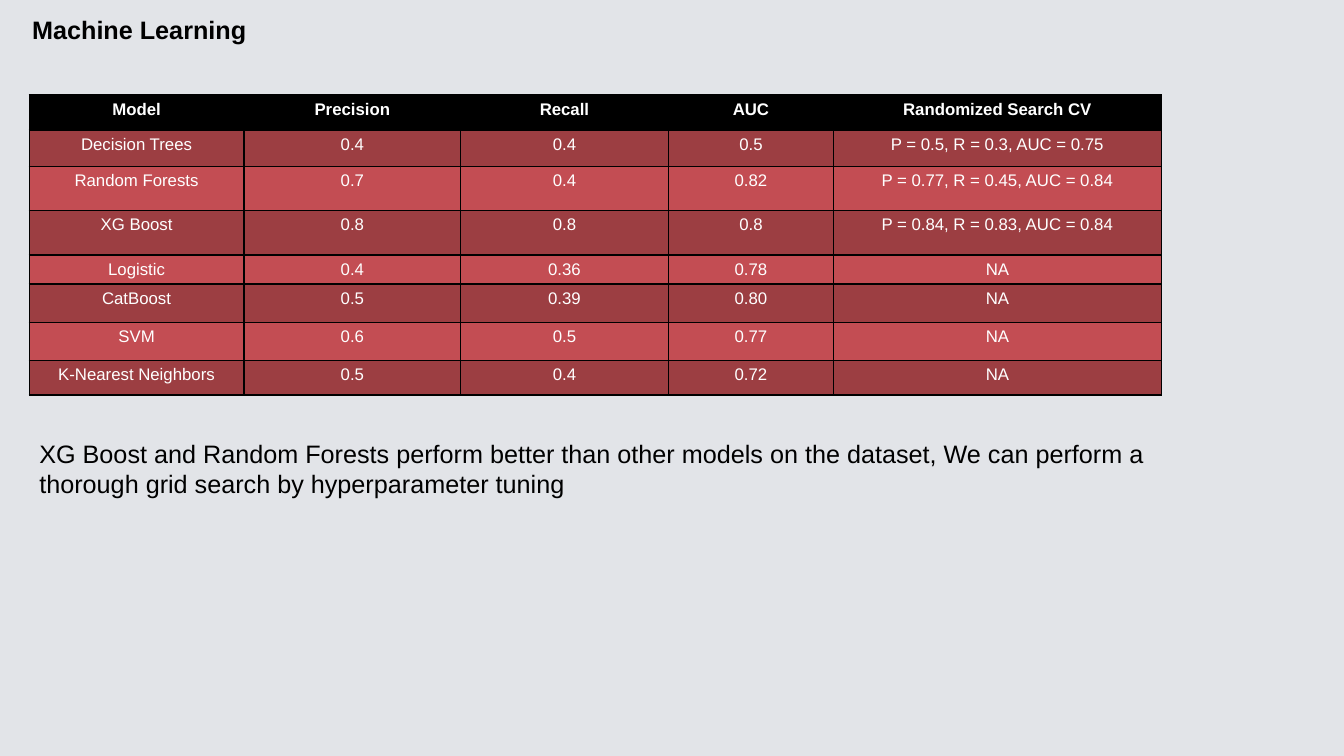
from dataclasses import dataclass

import pptx
import pptx.dml.color
import pptx.enum.text
import pptx.oxml
import pptx.oxml.ns
import pptx.util
from pptx.util import Pt


@dataclass(frozen=True)
class Theme:
    font: str = "Arial"
    background: str = "E2E4E8"
    text: str = "000000"
    header_fill: str = "000000"
    table_text: str = "FFFFFF"
    row_fills: tuple = ("9C3E42", "C34D53")
    border: str = "000000"
    border_width: float = 1
    heading_size: float = 18
    table_size: float = 12


THEME = Theme()

COLUMN_WIDTHS = (153.4, 154.8, 148.3, 118.1, 234)
ROW_HEIGHTS = (25.2, 25.9, 31.7, 31.7, 18.7, 27.4, 27.4, 24.5)
MODEL_SCORES = (
    ("Model", "Precision", "Recall", "AUC", "Randomized Search CV"),
    ("Decision Trees", "0.4", "0.4", "0.5", "P = 0.5, R = 0.3, AUC = 0.75"),
    ("Random Forests", "0.7", "0.4", "0.82", "P = 0.77, R = 0.45, AUC = 0.84"),
    ("XG Boost", "0.8", "0.8", "0.8", "P = 0.84, R = 0.83, AUC = 0.84"),
    ("Logistic", "0.4", "0.36", "0.78", "NA"),
    ("CatBoost", "0.5", "0.39", "0.80", "NA"),
    ("SVM", "0.6", "0.5", "0.77", "NA"),
    ("K-Nearest Neighbors", "0.5", "0.4", "0.72", "NA"),
)
CONCLUSION = (
    "XG Boost and Random Forests perform better than other models on the dataset, "
    "We can perform a thorough grid search by hyperparameter tuning"
)


def set_fill(fill, color):
    fill.solid()
    fill.fore_color.rgb = pptx.dml.color.RGBColor.from_string(color)


def format_paragraph(paragraph, size, color, alignment, bold=False):
    paragraph.alignment = alignment
    for run in paragraph.runs:
        run.font.name = THEME.font
        run.font.size = Pt(size)
        run.font.bold = bold
        run.font.color.rgb = pptx.dml.color.RGBColor.from_string(color)


def fill_placeholder(shape, text, left, top, width, height, bold=False):
    shape.left, shape.top = Pt(left), Pt(top)
    shape.width, shape.height = Pt(width), Pt(height)
    text_frame = shape.text_frame
    text_frame.text = text
    text_frame.word_wrap = True
    text_frame.auto_size = pptx.enum.text.MSO_AUTO_SIZE.NONE
    text_frame.vertical_anchor = pptx.enum.text.MSO_ANCHOR.TOP
    paragraph = text_frame.paragraphs[0]
    properties = paragraph._p.get_or_add_pPr()
    properties.set("marL", "0")
    properties.set("indent", "0")
    properties.append(pptx.oxml.parse_xml(
        f'<a:buNone {pptx.oxml.ns.nsdecls("a")}/>'
    ))
    paragraph.space_before = Pt(0)
    format_paragraph(
        paragraph, THEME.heading_size, THEME.text, pptx.enum.text.PP_ALIGN.LEFT, bold
    )


def add_borders(cell):
    properties = cell._tc.get_or_add_tcPr()
    for position, side in enumerate(("lnL", "lnR", "lnT", "lnB")):
        properties.insert(position, pptx.oxml.parse_xml(
            f'<a:{side} {pptx.oxml.ns.nsdecls("a")} w="{Pt(THEME.border_width)}">'
            f'<a:solidFill><a:srgbClr val="{THEME.border}"/></a:solidFill></a:{side}>'
        ))


def add_score_table(slide, left, top):
    table = slide.shapes.add_table(
        len(ROW_HEIGHTS), len(COLUMN_WIDTHS), Pt(left), Pt(top),
        Pt(sum(COLUMN_WIDTHS)), Pt(sum(ROW_HEIGHTS)),
    ).table
    for column, width in zip(table.columns, COLUMN_WIDTHS):
        column.width = Pt(width)
    for index, (row, height) in enumerate(zip(table.rows, ROW_HEIGHTS)):
        row.height = Pt(height)
        is_header = index == 0
        color = THEME.header_fill if is_header else THEME.row_fills[(index - 1) % 2]
        for cell, value in zip(row.cells, MODEL_SCORES[index]):
            cell.text_frame.text = value
            format_paragraph(
                cell.text_frame.paragraphs[0], THEME.table_size, THEME.table_text,
                pptx.enum.text.PP_ALIGN.CENTER, is_header,
            )
            set_fill(cell.fill, color)
            add_borders(cell)


def main():
    presentation = pptx.Presentation()
    presentation.slide_width, presentation.slide_height = Pt(960), Pt(540)
    slide = presentation.slides.add_slide(presentation.slide_layouts[1])
    set_fill(slide.background.fill, THEME.background)
    fill_placeholder(
        slide.shapes.title, "Machine Learning", 15.8, 6.5, 382.3, 29, bold=True
    )
    add_score_table(slide, 20.9, 67.7)
    fill_placeholder(slide.placeholders[1], CONCLUSION, 20.9, 309.6, 808.6, 51)
    presentation.save("out.pptx")


if __name__ == "__main__":
    main()
